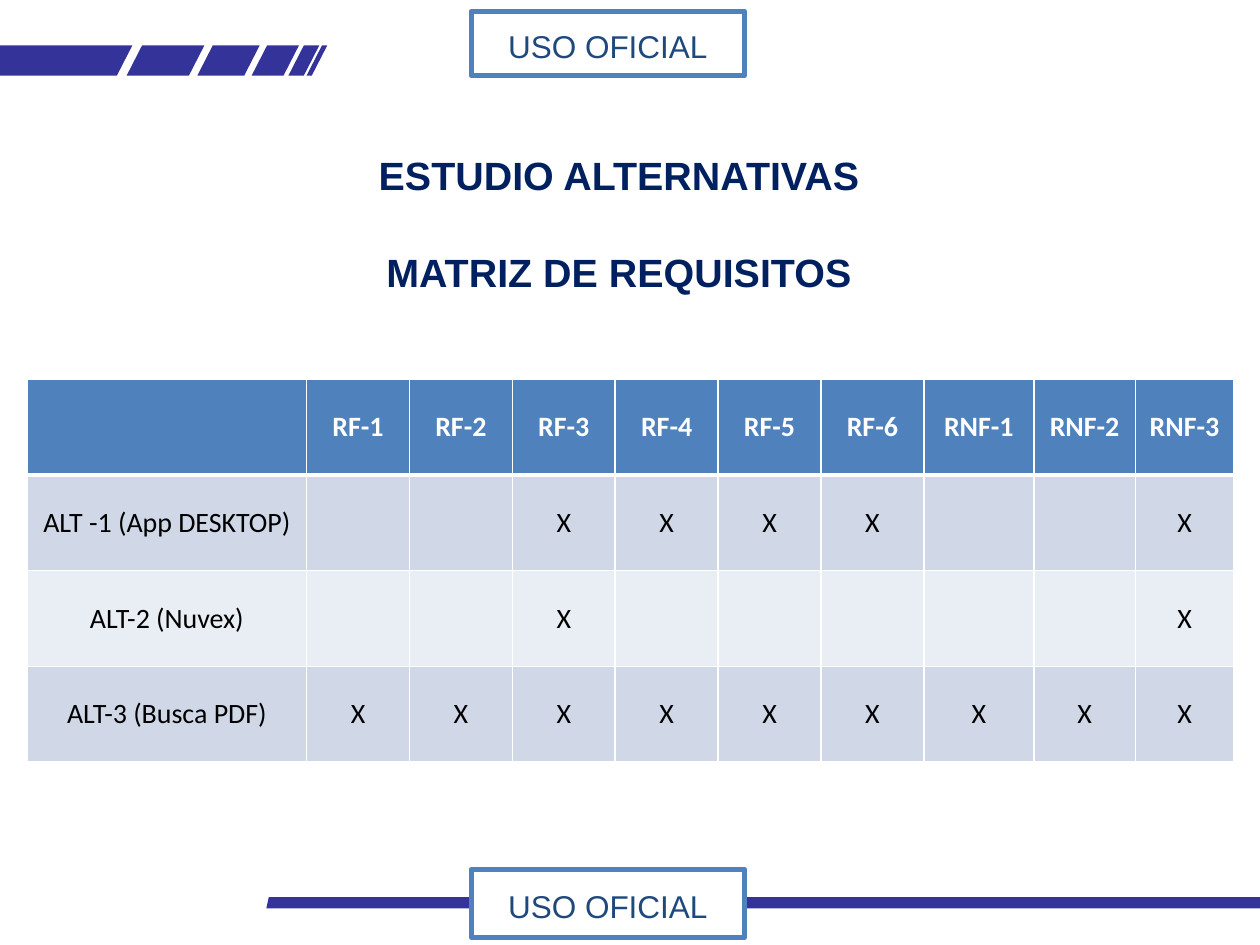
from lxml import etree
from pptx import Presentation
from pptx.dml.color import RGBColor
from pptx.enum.shapes import MSO_SHAPE
from pptx.enum.text import MSO_ANCHOR, PP_ALIGN
from pptx.oxml.ns import qn
from pptx.util import Pt

RECTANGLE = MSO_SHAPE.RECTANGLE
MIDDLE, TOP = MSO_ANCHOR.MIDDLE, MSO_ANCHOR.TOP
CENTER = PP_ALIGN.CENTER

WHITE = RGBColor(0xFF, 0xFF, 0xFF)
BLACK = RGBColor(0, 0, 0)
INDIGO = RGBColor(0x33, 0x33, 0x99)
BLUE = RGBColor(0x4F, 0x81, 0xBD)
SLATE = RGBColor(0x1F, 0x49, 0x7D)
NAVY = RGBColor(0x00, 0x20, 0x60)
BAND_DARK = RGBColor(0xD0, 0xD8, 0xE8)
BAND_LIGHT = RGBColor(0xE9, 0xED, 0xF4)

HEADING_FONT, TABLE_FONT = "Arial", "Calibri"


class SlideBuilder:
    """Holds the current slide and draws its elements; lengths are points."""

    def __init__(self, slide):
        self.slide = slide
        self.shapes = slide.shapes

    def add_text(self, paragraph, text, size, color, font, bold=False):
        """Add one centred run to a paragraph."""
        paragraph.alignment = CENTER
        run = paragraph.add_run()
        run.text = text
        run.font.name = font
        run.font.size = Pt(size)
        run.font.bold = bold
        run.font.color.rgb = color

    def set_frame(self, frame, insets, anchor):
        """Set wrapping, insets (left, top, right, bottom) and anchor."""
        frame.word_wrap = True
        frame.vertical_anchor = anchor
        (frame.margin_left, frame.margin_top,
         frame.margin_right, frame.margin_bottom) = map(Pt, insets)

    def polygon(self, points, color):
        """Draw a closed, filled outline without a line."""
        corners = [(Pt(x), Pt(y)) for x, y in points]
        builder = self.shapes.build_freeform(*corners[0], scale=1.0)
        builder.add_line_segments(corners[1:], close=True)
        outline = builder.convert_to_shape()
        outline.shadow.inherit = False
        outline.fill.solid()
        outline.fill.fore_color.rgb = color
        outline.line.fill.background()

    def label(self, box, text):
        """Draw a framed classification label."""
        frame = self.shapes.add_shape(RECTANGLE, *map(Pt, box))
        frame.shadow.inherit = False
        frame.fill.solid()
        frame.fill.fore_color.rgb = WHITE
        frame.line.color.rgb = BLUE
        frame.line.width = Pt(3)
        self.set_frame(frame.text_frame, (7.2, 6.5, 7.2, 3.6), MIDDLE)
        self.add_text(frame.text_frame.paragraphs[0], text, 18, SLATE, HEADING_FONT)

    def title(self, box, lines, gap):
        """Place bold title lines with a gap between them."""
        frame = self.shapes.add_textbox(*map(Pt, box)).text_frame
        self.set_frame(frame, (4.3, 2.2, 4.3, 2.2), TOP)
        for index, line in enumerate(lines):
            paragraph = frame.add_paragraph() if index else frame.paragraphs[0]
            paragraph.space_before = Pt(gap if index else 0)
            self.add_text(paragraph, line, 22.5, NAVY, HEADING_FONT, bold=True)

    def cell_borders(self, cell, widths):
        """Give a cell white borders; widths maps an edge letter to points."""
        properties = cell._tc.get_or_add_tcPr()
        for edge, width in widths.items():
            line = etree.SubElement(properties, qn(f"a:ln{edge}"), w=str(Pt(width)))
            fill = etree.SubElement(line, qn("a:solidFill"))
            etree.SubElement(fill, qn("a:srgbClr"), val=str(WHITE))

    def matrix(self, left, top, widths, row_height, rows):
        """Draw a table with a header row and banded body rows."""
        table = self.shapes.add_table(
            len(rows), len(widths), Pt(left), Pt(top),
            Pt(sum(widths)), Pt(row_height * len(rows))).table
        for column, width in zip(table.columns, widths):
            column.width = Pt(width)
        for r, texts in enumerate(rows):
            table.rows[r].height = Pt(row_height)
            header = r == 0
            band = BLUE if header else BAND_DARK if r % 2 else BAND_LIGHT
            edges = {"L": 1, "R": 1, "T": 3 if r == 1 else 1, "B": 3 if header else 1}
            for c, text in enumerate(texts):
                cell = table.cell(r, c)
                cell.vertical_anchor = MIDDLE
                self.cell_borders(cell, edges)
                cell.fill.solid()
                cell.fill.fore_color.rgb = band
                if text:
                    self.add_text(cell.text_frame.paragraphs[0], text, 16,
                                  WHITE if header else BLACK, TABLE_FONT, header)


def main():
    """Build the requirements matrix slide."""
    deck = Presentation()
    deck.slide_width, deck.slide_height = Pt(720), Pt(540)
    page = SlideBuilder(deck.slides.add_slide(deck.slide_layouts[6]))

    stripe_top, stripe_bottom, slant = 26, 43.2, 8.8
    stripes = [(0, 75.6), (81.2, 116.8), (121.6, 148.4),
               (152.6, 170.8), (173.6, 182.4), (184, 187)]
    for left, right in stripes:
        page.polygon([(left, stripe_top), (right, stripe_top),
                      (right - slant, stripe_bottom),
                      (max(left - slant, 0), stripe_bottom)], INDIGO)
    page.polygon([(152.2, 519.1), (720, 519.1), (720, 512.6), (153.6, 512.6)], INDIGO)

    for top, height in ((496.8, 38.9), (6.5, 36.7)):
        page.label((269.3, top, 156.2, height), "USO OFICIAL")

    page.title((113, 84.2, 481.7, 104.4),
               ["ESTUDIO ALTERNATIVAS", "MATRIZ DE REQUISITOS"], gap=28.5)

    requirements = ([f"RF-{n}" for n in range(1, 7)]
                    + [f"RNF-{n}" for n in range(1, 4)])
    coverage = {
        "ALT -1 (App DESKTOP)": {"RF-3", "RF-4", "RF-5", "RF-6", "RNF-3"},
        "ALT-2 (Nuvex)": {"RF-3", "RNF-3"},
        "ALT-3 (Busca PDF)": set(requirements),
    }
    rows = [[""] + requirements]
    for alternative, covered in coverage.items():
        rows.append([alternative] + ["X" if name in covered else ""
                                     for name in requirements])
    page.matrix(15.6, 216.7, [159.6] + [58.8] * 6 + [62.9, 58, 56.2], 54.7, rows)

    deck.save("out.pptx")


main()
